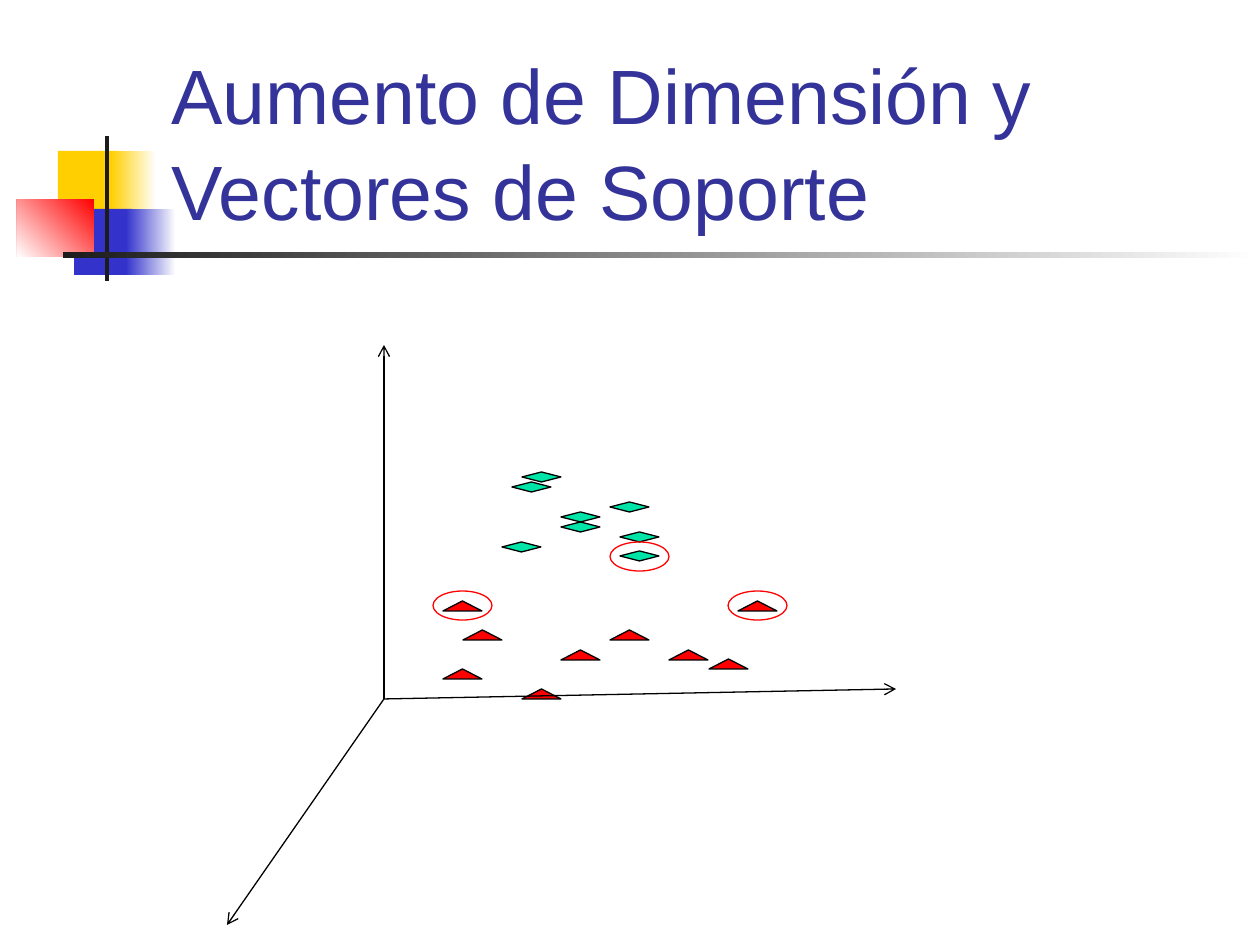
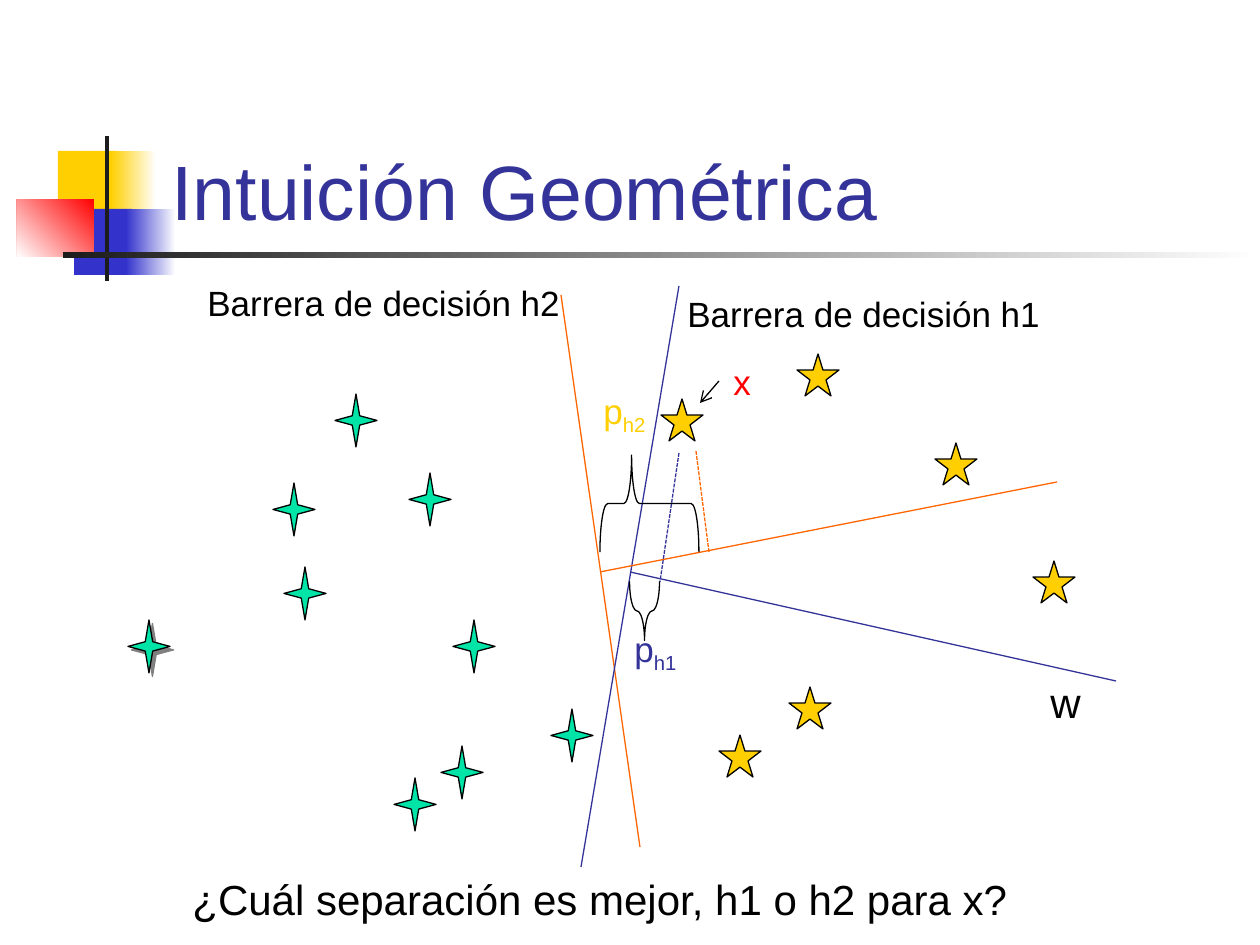
from lxml.etree import SubElement
from pptx import Presentation
from pptx.dml.color import RGBColor
from pptx.enum.dml import MSO_LINE_DASH_STYLE as Dash
from pptx.enum.shapes import MSO_CONNECTOR as Connector, MSO_SHAPE as Preset
from pptx.enum.text import MSO_ANCHOR as Anchor, MSO_AUTO_SIZE as AutoSize, PP_ALIGN as Align
from pptx.oxml.ns import qn
from pptx.util import Pt

SCALE = 914400 / 126
FONT = "Arial"
LINE_WIDTH = Pt(0.74)
COLOURS = {
    "white": "FFFFFF", "black": "000000", "charcoal": "1C1C1C", "grey": "808080",
    "yellow": "FFCF01", "blue": "3333CC", "indigo": "333399", "red": "FF0000",
    "green": "00E4A8", "orange": "FF6600",
}

# Master decoration: box, colour and, for fades, stop colours with an angle
DECORATION = [
    ((58, 151, 60, 66), "yellow"),
    ((111, 151, 45, 66), ("white", "yellow", 180)),
    ((74, 209, 58, 66), "blue"),
    ((126, 209, 50, 66), ("white", "blue", 180)),
    ((17, 199, 77, 58), ("red", "white", 225)),
    ((105, 136, 4, 145), "charcoal"),
    ((63, 252, 1197, 6), ("white", "charcoal", 180)),
]

# Slide 1: left and top corners of the points
DIAMONDS = [(512, 482), (610, 502), (561, 522), (620, 532),
            (502, 542), (522, 472), (561, 512), (620, 551)]
TRIANGLES = [(443, 601), (522, 689), (561, 650), (669, 650), (709, 659),
             (738, 601), (610, 630), (443, 669), (463, 630)]
SUPPORT_RINGS = [(433, 591), (728, 591), (610, 542)]
ORIGIN = (384, 699)
AXIS_ENDS = [(227, 925), (896, 689), (384, 345)]

# Slide 2: left and top corners of the two classes
GREEN_STARS = [(273, 483), (284, 567), (409, 473), (453, 620), (551, 709),
               (441, 746), (335, 394), (394, 778)]
SHADED_STAR = (128, 620)
YELLOW_STARS = [(797, 354), (935, 443), (661, 399), (719, 735), (1033, 561), (789, 687)]


def px(length):
    """Turn pixels into EMU."""
    return round(length * SCALE)


def colour(name):
    """Return a palette colour."""
    return RGBColor.from_string(COLOURS[name])


def apply(target, **values):
    """Set several attributes on one object."""
    for name, value in values.items():
        setattr(target, name, value)


def place(shape, box):
    """Move a shape to a box in pixels."""
    apply(shape, **dict(zip(("left", "top", "width", "height"), map(px, box))))


def paint(fill, value):
    """Fill with nothing, one colour, or a fade of two colours at an angle."""
    if value is None:
        fill.background()
    elif isinstance(value, str):
        fill.solid()
        fill.fore_color.rgb = colour(value)
    else:
        *stops, angle = value
        fill.gradient()
        fill.gradient_angle = angle
        for stop, name in zip(fill.gradient_stops, stops):
            stop.color.rgb = colour(name)


def add_preset(slide, kind, box, fill=None, line="black", rotation=0):
    """Add a preset shape without a shadow."""
    shape = slide.shapes.add_shape(kind, *map(px, box))
    shape.shadow.inherit = False
    shape.rotation = rotation
    paint(shape.fill, fill)
    paint(shape.line.fill, line)
    shape.line.width = LINE_WIDTH
    return shape


def add_marks(slide, kind, corners, size, **style):
    """Add equal shapes at a list of corners."""
    for corner in corners:
        add_preset(slide, kind, (*corner, *size), **style)


def add_drop_shadow(shape):
    """Give a shape a hard grey shadow to the lower right."""
    effects = shape.element.spPr.find(qn("a:effectLst"))
    shadow = SubElement(effects, qn("a:outerShdw"), dist=str(Pt(2.8)), dir="2700000")
    SubElement(shadow, qn("a:srgbClr"), val=COLOURS["grey"])


def add_line(slide, start, end, line="black", dash=None, arrow=False):
    """Add a straight line, dashed or with an arrowhead if asked."""
    connector = slide.shapes.add_connector(Connector.STRAIGHT, *map(px, (*start, *end)))
    paint(connector.line.fill, line)
    apply(connector.line, width=LINE_WIDTH, dash_style=dash)
    properties = connector.element.spPr
    if arrow:
        SubElement(properties.find(qn("a:ln")), qn("a:tailEnd"), type="arrow")
    SubElement(properties, qn("a:effectLst"))


def add_run(paragraph, text, size, ink):
    """Add one run of formatted text."""
    run = paragraph.add_run()
    run.text = text
    apply(run.font, name=FONT, size=Pt(size))
    run.font.color.rgb = colour(ink)


def add_label(slide, box, text, size=20, ink="black", subscript=None):
    """Add a one-line text box, with an optional subscript."""
    label = slide.shapes.add_textbox(*map(px, box))
    apply(label.text_frame, word_wrap=False, auto_size=AutoSize.SHAPE_TO_FIT_TEXT)
    paragraph = label.text_frame.paragraphs[0]
    add_run(paragraph, text, size, ink)
    if subscript:
        add_run(paragraph, subscript, size, ink)
        list(label.element.iter(qn("a:rPr")))[-1].set("baseline", "-25000")


def add_titled_slide(presentation, title):
    """Add a Title Only slide with its title."""
    slide = presentation.slides.add_slide(presentation.slide_layouts[5])
    place(slide.shapes.title, (159, 84, 1073, 158))
    frame = slide.shapes.title.text_frame
    apply(frame, vertical_anchor=Anchor.BOTTOM, auto_size=AutoSize.NONE, word_wrap=True)
    paragraph = frame.paragraphs[0]
    apply(paragraph, alignment=Align.LEFT, line_spacing=1.04)
    add_run(paragraph, title, 44, "indigo")
    return slide


def decorate_layout(slide):
    """Draw the shared decoration and move it to the slide's layout."""
    tree = slide.slide_layout.shapes.element
    for index, (box, fill) in enumerate(DECORATION):
        shape = add_preset(slide, Preset.RECTANGLE, box, fill=fill, line=None)
        tree.insert(index + 2, shape.element)


def draw_support_vectors(slide):
    """Draw the points in space, the support vectors and the axes."""
    add_marks(slide, Preset.FLOWCHART_DECISION, DIAMONDS, (39, 10), fill="green")
    add_marks(slide, Preset.ISOSCELES_TRIANGLE, TRIANGLES, (39, 10), fill="red")
    add_marks(slide, Preset.OVAL, SUPPORT_RINGS, (59, 29), line="red")
    for end in AXIS_ENDS:
        add_line(slide, ORIGIN, end, arrow=True)


def draw_barriers(slide):
    """Draw the two classes, the decision barriers and the projections of x."""
    add_marks(slide, Preset.STAR_4_POINT, GREEN_STARS, (42, 53), fill="green")
    add_marks(slide, Preset.STAR_5_POINT, YELLOW_STARS, (42, 42), fill="yellow")
    add_drop_shadow(add_preset(slide, Preset.STAR_4_POINT, (*SHADED_STAR, 42, 53), fill="green"))

    add_line(slide, (561, 295), (640, 847), "orange")
    add_line(slide, (679, 286), (581, 867), "indigo")
    add_line(slide, (719, 381), (700, 403), arrow=True)
    add_line(slide, (630, 572), (1116, 681), "indigo")
    add_line(slide, (679, 453), (660, 582), "indigo", Dash.SQUARE_DOT)
    add_line(slide, (600, 572), (1057, 482), "orange")
    add_line(slide, (696, 451), (709, 552), "orange", Dash.SQUARE_DOT)

    add_label(slide, (675, 286, 378, 55), "Barrera de decisión h1")
    add_label(slide, (195, 275, 378, 55), "Barrera de decisión h2")
    add_label(slide, (180, 867, 842, 63), "¿Cuál separación es mejor, h1 o h2 para x?", 24)
    add_label(slide, (721, 354, 43, 55), "x", ink="red")
    add_label(slide, (1038, 670, 55, 63), "w", 24)
    add_label(slide, (622, 621, 67, 60), "p", ink="indigo", subscript="h1")
    add_label(slide, (591, 383, 67, 60), "p", ink="yellow", subscript="h2")

    for box, rotation, curve, tip in [((615, 596, 59, 30), 90, 0.25, 0.5),
                                      ((601, 454, 97, 99), 270, 0.08, 0.32)]:
        brace = add_preset(slide, Preset.RIGHT_BRACE, box, rotation=rotation)
        brace.adjustments[0], brace.adjustments[1] = curve, tip


def main():
    """Build both slides and save them."""
    presentation = Presentation()
    apply(presentation, slide_width=px(1260), slide_height=px(945))
    first = add_titled_slide(presentation, "Aumento de Dimensión y Vectores de Soporte")
    decorate_layout(first)
    draw_support_vectors(first)
    draw_barriers(add_titled_slide(presentation, "Intuición Geométrica"))
    presentation.save("out.pptx")


main()
